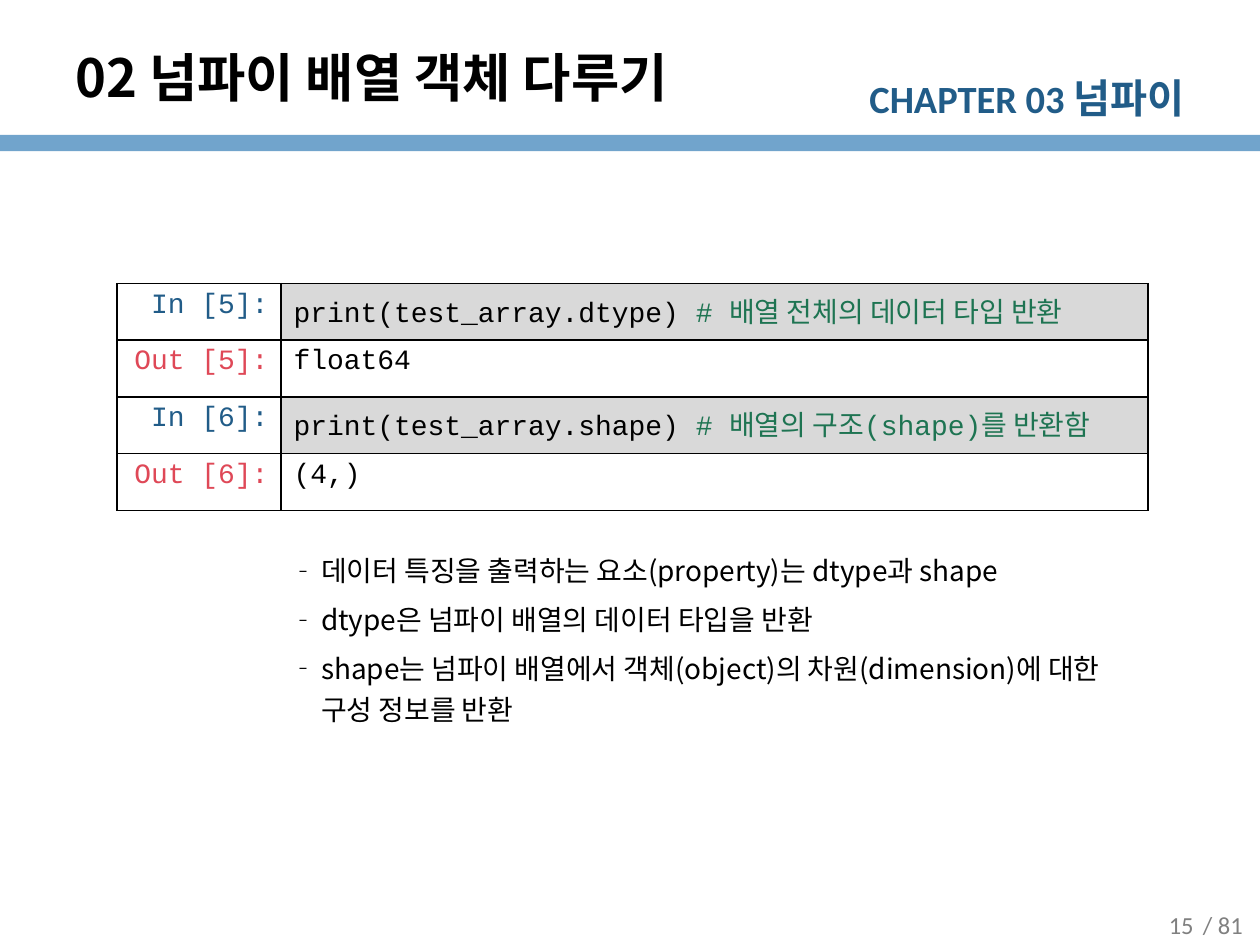
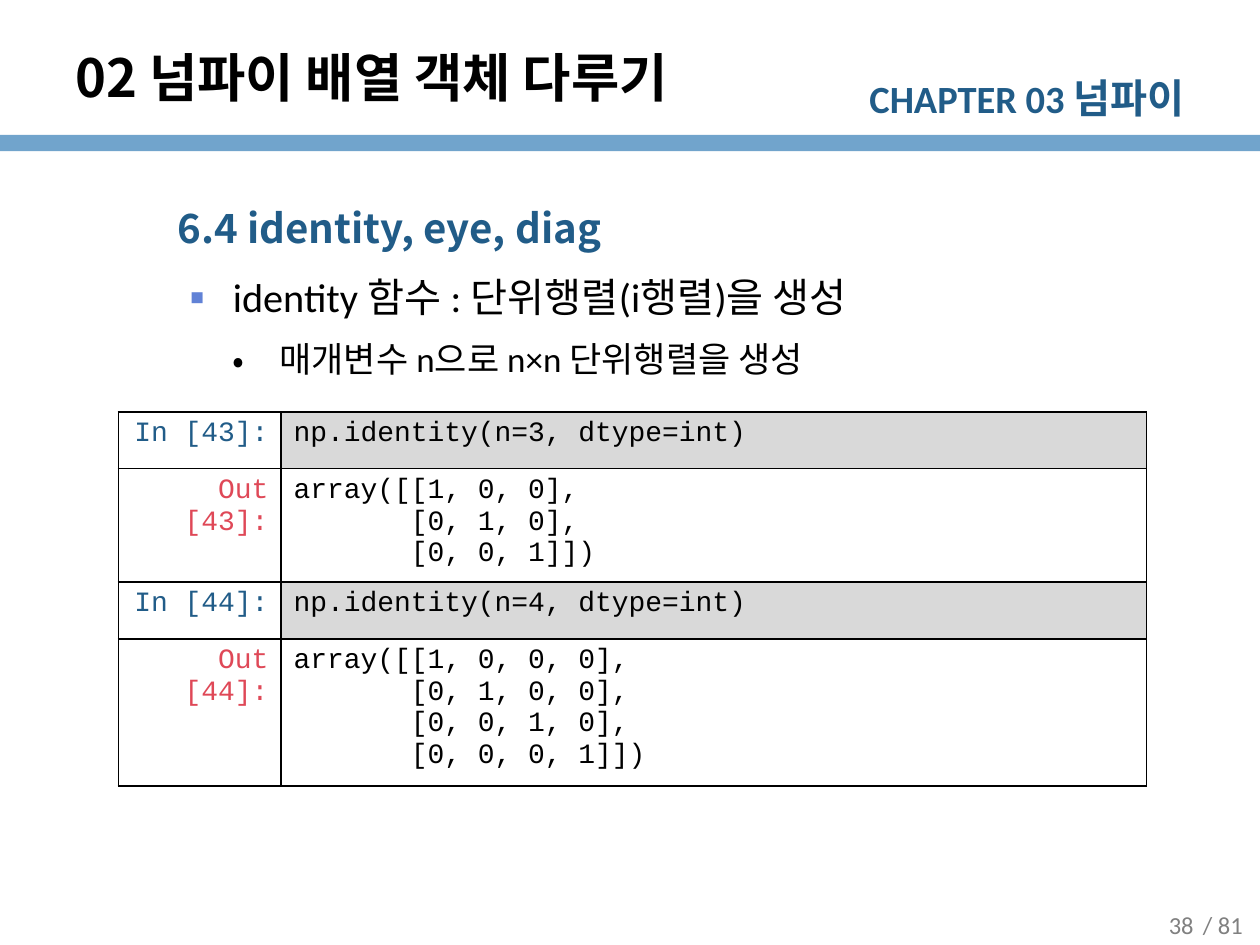
from lxml.etree import SubElement
from pptx import Presentation
from pptx.dml.color import RGBColor
from pptx.enum.shapes import MSO_SHAPE
from pptx.enum.text import MSO_ANCHOR, PP_ALIGN
from pptx.oxml.ns import qn
from pptx.util import Inches, Pt

COLORS = {
    "black": "000000",
    "navy": "215C88",
    "band": "71A4CC",
    "gray": "808080",
    "code": "D9D9D9",
    "output": "DF4857",
    "comment": "1E7452",
    "square": "6182D6",
}
KOREAN = "Noto Sans CJK KR"
LATIN = "Calibri"
MONO = "Courier New"
TITLE = "02 넘파이 배열 객체 다루기"
PAGE_TOTAL = 81
ROW_HEIGHT = 0.45


def rgb(name):
    return RGBColor.from_string(COLORS[name])


def add_span(para, text, size, font=KOREAN, color="black", bold=False):
    """Add a run whose Korean letters always use the Korean font."""
    span = para.add_run()
    span.text = text
    span.font.size = Pt(size)
    span.font.name = font
    span.font.bold = bold
    span.font.color.rgb = rgb(color)
    SubElement(span.font._element, qn("a:ea"), typeface=KOREAN)


def add_box(page, left, top, width, height, anchor=MSO_ANCHOR.TOP):
    box = page.shapes.add_textbox(Inches(left), Inches(top), Inches(width), Inches(height))
    frame = box.text_frame
    frame.word_wrap = True
    frame.vertical_anchor = anchor
    return frame


def add_page_text(page, left, text):
    para = add_box(page, left, 7.14, 0.71, 0.39, MSO_ANCHOR.MIDDLE).paragraphs[0]
    para.alignment = PP_ALIGN.CENTER
    add_span(para, text, 14, LATIN, "gray")


def add_page(deck, number):
    """Add a slide with the band, chapter name, page number and title."""
    page = deck.slides.add_slide(deck.slide_layouts[6])
    band = page.shapes.add_shape(
        MSO_SHAPE.RECTANGLE, 0, Inches(1.07), deck.slide_width, Inches(0.13))
    band.shadow.inherit = False
    band.fill.solid()
    band.fill.fore_color.rgb = rgb("band")
    band.line.fill.background()

    chapter = add_box(page, 6.62, 0.53, 2.88, 0.48).paragraphs[0]
    chapter.alignment = PP_ALIGN.RIGHT
    add_span(chapter, "CHAPTER 03 ", 22, LATIN, "navy", True)
    add_span(chapter, "넘파이", 23, LATIN, "navy", True)

    add_page_text(page, 9.35, f"/ {PAGE_TOTAL}")
    add_page_text(page, 9.02, str(number))

    title = add_box(page, 0.5, 0.3, 7.83, 0.62, MSO_ANCHOR.MIDDLE)
    add_span(title.paragraphs[0], TITLE, 30, bold=True)
    return page


def next_para(frame, index):
    return frame.add_paragraph() if index else frame.paragraphs[0]


def add_item(frame, index, text, size, margin, hanging=0, bullet=None,
             bullet_color="black", space=0, **style):
    """Add a list paragraph; margin and hanging indent are in inches."""
    para = next_para(frame, index)
    para.line_spacing = 1.25
    para.space_before = Pt(space if index else 0)
    properties = para._p.get_or_add_pPr()
    properties.set("marL", str(Inches(margin)))
    properties.set("indent", str(-Inches(hanging)))
    if bullet:
        color = SubElement(properties, qn("a:buClr"))
        SubElement(color, qn("a:srgbClr"), val=COLORS[bullet_color])
        SubElement(properties, qn("a:buFont"), typeface=KOREAN)
        SubElement(properties, qn("a:buChar"), char=bullet)
    add_span(para, text, size, **style)


def set_borders(cell):
    properties = cell._tc.get_or_add_tcPr()
    for side in ("lnL", "lnR", "lnT", "lnB"):
        line = SubElement(properties, qn(f"a:{side}"), w=str(Pt(1)))
        fill = SubElement(line, qn("a:solidFill"))
        SubElement(fill, qn("a:srgbClr"), val=COLORS["black"])


def fill_code_cell(cell, code):
    for index, line in enumerate(code.split("\n")):
        para = next_para(cell.text_frame, index)
        statement, mark, comment = line.partition("#")
        add_span(para, statement, 16, MONO)
        if mark:
            add_span(para, mark + comment, 16, MONO, "comment")


def add_notebook(page, left, top, widths, cells):
    """Add a table of (number, input, output) notebook cells."""
    rows = 2 * len(cells)
    table = page.shapes.add_table(
        rows, 2, Inches(left), Inches(top), Inches(sum(widths)),
        Inches(ROW_HEIGHT * rows)).table
    table.first_row = False
    table.horz_banding = False
    for column, width in zip(table.columns, widths):
        column.width = Inches(width)

    entries = []
    for number, source, result in cells:
        entries.append((f"In [{number}]:", source, "navy"))
        entries.append((f"Out [{number}]:", result, "output"))
    for row, (label, code, color) in enumerate(entries):
        label_cell, code_cell = table.cell(row, 0), table.cell(row, 1)
        for cell in (label_cell, code_cell):
            set_borders(cell)
            cell.fill.background()
        para = label_cell.text_frame.paragraphs[0]
        para.alignment = PP_ALIGN.RIGHT
        add_span(para, label, 16, MONO, color)
        fill_code_cell(code_cell, code)
        if row % 2 == 0:
            code_cell.fill.solid()
            code_cell.fill.fore_color.rgb = rgb("code")


def identity_result(size):
    """Return the printed form of an identity matrix."""
    lines = []
    for row in range(size):
        values = ", ".join(str(int(row == column)) for column in range(size))
        lines.append(f"[{values}]")
    return "array([" + (",\n" + " " * 7).join(lines) + "])"


def add_property_page(deck):
    page = add_page(deck, 15)
    add_notebook(page, 0.93, 2.25, (1.3, 6.88), [
        (5, "print(test_array.dtype) # 배열 전체의 데이터 타입 반환", "float64"),
        (6, "print(test_array.shape) # 배열의 구조(shape)를 반환함", "(4,)"),
    ])
    notes = (
        "데이터 특징을 출력하는 요소(property)는 dtype과 shape",
        "dtype은 넘파이 배열의 데이터 타입을 반환",
        "shape는 넘파이 배열에서 객체(object)의 차원(dimension)에 대한 구성 정보를 반환",
    )
    frame = add_box(page, 0.7, 4.28, 8.58, 1.54)
    for index, note in enumerate(notes):
        add_item(frame, index, note, 16, 1.75, 0.25, "‐", space=3.8)


def add_identity_page(deck):
    page = add_page(deck, 38)
    frame = add_box(page, 0.5, 1.47, 9, 4.23)
    add_item(frame, 0, "6.4 identity, eye, diag", 23, 0.81, color="navy", bold=True)
    add_item(frame, 1, "identity 함수 : 단위행렬(i행렬)을 생성", 23, 1.25, 0.44,
             "▪", "square", 4.6, font=LATIN)
    add_item(frame, 2, "매개변수 n으로 n×n 단위행렬을 생성", 20, 1.62, 0.37,
             "•", space=4, font=LATIN)
    add_notebook(page, 0.94, 3.27, (1.29, 6.87), [
        (number, f"np.identity(n={size}, dtype=int)", identity_result(size))
        for number, size in ((43, 3), (44, 4))
    ])


def main():
    deck = Presentation()
    deck.slide_width = Inches(10)
    deck.slide_height = Inches(7.5)
    add_property_page(deck)
    add_identity_page(deck)
    deck.save("out.pptx")


if __name__ == "__main__":
    main()
